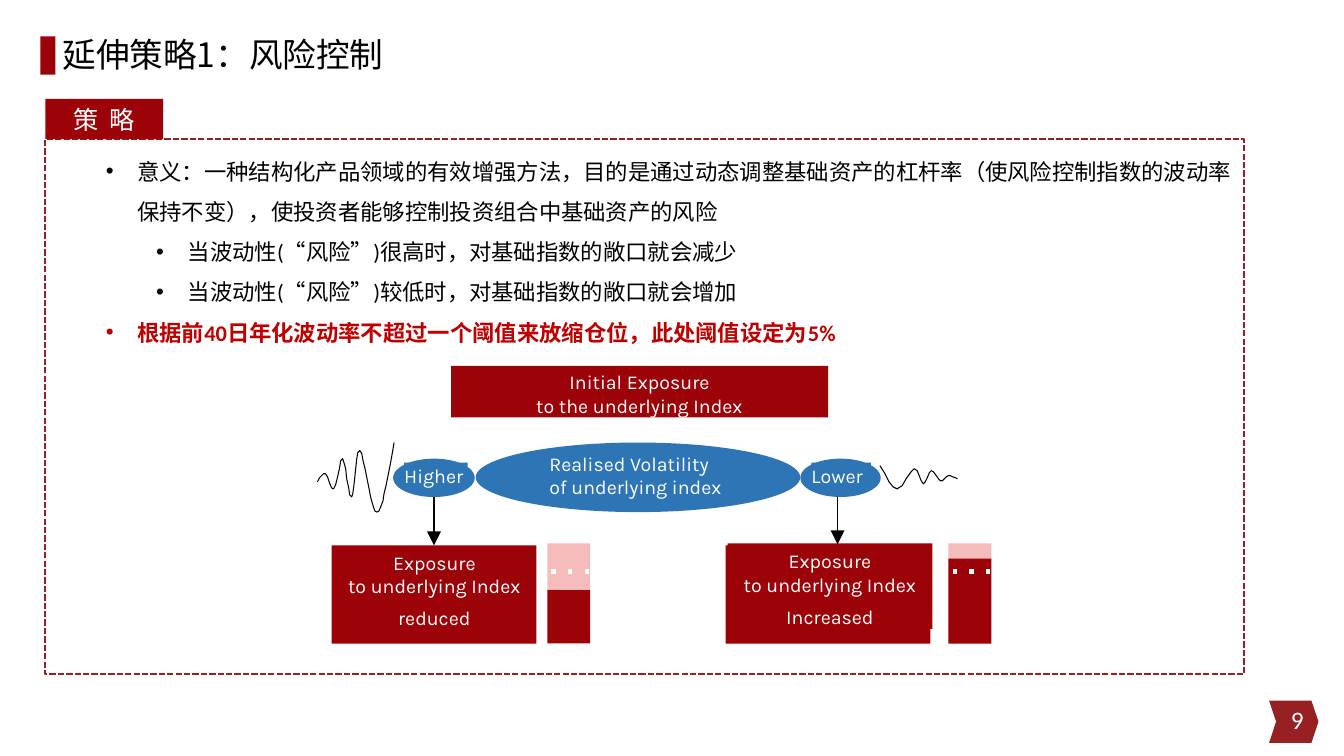
from dataclasses import dataclass
from typing import NamedTuple

from lxml.etree import SubElement
from pptx import Presentation
from pptx.dml.color import RGBColor
from pptx.enum.dml import MSO_LINE
from pptx.enum.shapes import MSO_CONNECTOR, MSO_SHAPE
from pptx.enum.text import MSO_ANCHOR, MSO_AUTO_SIZE, PP_ALIGN
from pptx.oxml.ns import qn
from pptx.util import Pt


@dataclass(frozen=True)
class Theme:
    red: str = "9C0308"
    edge: str = "972022"
    alert: str = "C00000"
    blue: str = "2E75B6"
    pink: str = "F6BCBC"
    black: str = "000000"
    white: str = "FFFFFF"
    head: int = 24
    large: int = 18
    text: int = 16
    small: int = 14
    main: str = "Calibri"
    chart: str = "Karla"
    title: str = "Noto Sans CJK SC"


class Box(NamedTuple):
    left: float
    top: float
    width: float
    height: float


class Point(NamedTuple):
    text: str
    level: int
    color: str
    bold: bool = False


class Label(NamedTuple):
    box: Box
    lines: list[str]
    fill: str
    inset: float
    align: PP_ALIGN
    last: float = 0  # space before the last line


class Gauge(NamedTuple):
    left: float
    split: float


T = Theme()
deck = Presentation()
deck.slide_width, deck.slide_height = Pt(960), Pt(540)
slide = deck.slides.add_slide(deck.slide_layouts[1])
shapes = slide.shapes


def rgb(code: str) -> RGBColor:
    return RGBColor.from_string(code)


def place(item, box: Box) -> None:
    item.left, item.top, item.width, item.height = map(Pt, box)


def style(para, size: int, face: str, color: str, bold: bool = False) -> None:
    font = para.font
    font.size, font.name, font.bold = Pt(size), face, bold
    font.color.rgb = rgb(color)


def draw(kind: MSO_SHAPE, box: Box, fill: str):
    item = shapes.add_shape(kind, *map(Pt, box))
    item.shadow.inherit = False
    item.fill.solid()
    item.fill.fore_color.rgb = rgb(fill)
    item.line.fill.background()
    return item


def join(x1: float, y1: float, x2: float, y2: float, color: str, width: float):
    line = shapes.add_connector(MSO_CONNECTOR.STRAIGHT, Pt(x1), Pt(y1), Pt(x2), Pt(y2))
    line.line.color.rgb = rgb(color)
    line.line.width = Pt(width)
    return line


def finish(line, tag: str, **marks: str) -> None:
    """Add a dash or arrowhead, and drop the shadow."""
    SubElement(line.line._get_or_add_ln(), qn(tag), **marks)
    SubElement(line._element.spPr, qn("a:effectLst"))


def write(label: Label) -> None:
    frame = draw(MSO_SHAPE.RECTANGLE, label.box, label.fill).text_frame
    frame.margin_left = frame.margin_right = frame.margin_bottom = 0
    frame.margin_top = Pt(label.inset)
    frame.vertical_anchor = MSO_ANCHOR.TOP
    frame.word_wrap = True
    frame.text = "\n".join(label.lines)
    for para in frame.paragraphs:
        para.alignment = label.align
        style(para, T.small, T.chart, T.white)
    if label.last:
        frame.paragraphs[-1].space_before = Pt(label.last)


def list_point(para, point: Point) -> None:
    para.text = point.text
    para.level = point.level
    para.line_spacing = 1.5
    para.space_before = Pt(0)
    props = para._p.get_or_add_pPr()
    props.set("marL", str(Pt(58.5 + 36 * point.level)))
    props.set("indent", str(-Pt(22.5)))
    SubElement(SubElement(props, qn("a:buClr")), qn("a:srgbClr"), val=point.color)
    SubElement(props, qn("a:buFont"), typeface="Arial")
    SubElement(props, qn("a:buChar"), char="•")
    style(para, T.text, T.main, point.color, point.bold)


def wave(dots: list[tuple[int, int]]) -> None:
    """Draw an open curve; units are hundredths of an inch."""
    pen = shapes.build_freeform(*dots[0], scale=float(Pt(0.72)))
    pen.add_line_segments(dots[1:], close=False)
    item = pen.convert_to_shape()
    item.shadow.inherit = False
    item.fill.background()
    item.line.color.rgb = rgb(T.black)
    item.line.width = Pt(0.75)


def gauge(bar: Gauge) -> None:
    top, base, width = 388.1, 459.7, 30.6
    draw(MSO_SHAPE.RECTANGLE, Box(bar.left, bar.split, width, base - bar.split), T.red)
    draw(MSO_SHAPE.RECTANGLE, Box(bar.left, top, width, bar.split - top), T.pink)
    mark = join(bar.left + 2.9, 408.2, bar.left + 33.5, 408.2, T.white, 3)
    finish(mark, "a:prstDash", val="dot")


# Title and page number
draw(MSO_SHAPE.CHEVRON, Box(906.5, 500.4, 35.3, 30.2), T.edge).adjustments[0] = 0.167
draw(MSO_SHAPE.RECTANGLE, Box(28.8, 25.9, 10.8, 27.4), T.red)

title = shapes.title
place(title, Box(37.4, -1.4, 814.3, 84.2))
title.text = "延伸策略1：风险控制"
title.text_frame.vertical_anchor = MSO_ANCHOR.MIDDLE
title.text_frame.auto_size = MSO_AUTO_SIZE.NONE
head = title.text_frame.paragraphs[0]
head.alignment, head.line_spacing = PP_ALIGN.LEFT, 0.9
style(head, T.head, T.title, T.black)

page = shapes.add_textbox(*map(Pt, Box(722.2, 499.7, 216, 28.8))).text_frame
page.word_wrap = True
page.vertical_anchor = MSO_ANCHOR.MIDDLE
page.text = "9"
page.paragraphs[0].alignment = PP_ALIGN.RIGHT
style(page.paragraphs[0], T.large, T.main, T.white)

# Framed list
POINTS = [
    Point("意义：一种结构化产品领域的有效增强方法，目的是通过动态调整基础资产的杠杆率"
          "（使风险控制指数的波动率保持不变），使投资者能够控制投资组合中基础资产的风险", 0, T.black),
    Point("当波动性(“风险”)很高时，对基础指数的敞口就会减少", 1, T.black),
    Point("当波动性(“风险”)较低时，对基础指数的敞口就会增加", 1, T.black),
    Point("根据前40日年化波动率不超过一个阈值来放缩仓位，此处阈值设定为5%", 0, T.alert, True),
]
body = slide.placeholders[1]
place(body, Box(32.4, 99.4, 856.1, 382.3))
body.line.color.rgb = rgb(T.edge)
body.line.width = Pt(1.5)
body.line.dash_style = MSO_LINE.SQUARE_DOT
frame = body.text_frame
frame.auto_size = MSO_AUTO_SIZE.NONE
frame.vertical_anchor = MSO_ANCHOR.TOP
for num, point in enumerate(POINTS):
    list_point(frame.add_paragraph() if num else frame.paragraphs[0], point)

tag = draw(MSO_SHAPE.RECTANGLE, Box(32.4, 70.6, 84.2, 28.8), T.red).text_frame
tag.text = "策 略"
tag.paragraphs[0].alignment = PP_ALIGN.CENTER
style(tag.paragraphs[0], T.large, T.main, T.white)
tag.paragraphs[0].runs[0]._r.get_or_add_rPr().set("spc", "200")

# Flow: blocks and ovals, then their labels
less, more = [draw(MSO_SHAPE.RECTANGLE, Box(x, 389.5, 146.2, 70.2), T.red) for x in (236.9, 518.4)]
for oval in (Box(339.8, 316.1, 231.8, 49.7), Box(280.8, 327.6, 58.3, 27.4), Box(571.7, 327.6, 57.4, 27.4)):
    draw(MSO_SHAPE.OVAL, oval, T.blue)

MID, LEFT = PP_ALIGN.CENTER, PP_ALIGN.LEFT
SHARE = ["Exposure", "to underlying Index"]
LABELS = [
    Label(Box(246.2, 392.4, 128.2, 57.6), SHARE + ["reduced"], T.red, 0.9, MID, 6),
    Label(Box(322.2, 261.4, 269.3, 36.7), ["Initial Exposure", "to the underlying Index"], T.red, 2.9, MID),
    Label(Box(519.8, 388.1, 146.2, 61.2), SHARE + ["Increased"], T.red, 4.3, MID, 6),
    Label(Box(392.4, 321.8, 128.2, 34.6), ["Realised Volatility of underlying index"], T.blue, 0.9, LEFT),
    Label(Box(288.7, 330.5, 45.4, 18), ["Higher"], T.blue, 0.9, LEFT),
    Label(Box(579.6, 330.5, 42.5, 18), ["Lower"], T.blue, 0.9, LEFT),
]
for label in LABELS:
    write(label)

# Calm and wild waves
wave([(873, 462), (878, 470), (882, 478), (886, 483), (890, 485), (895, 482), (899, 475), (904, 468),
      (907, 465), (910, 467), (912, 472), (914, 477), (916, 480), (918, 478), (920, 474), (922, 469),
      (924, 467), (926, 468), (929, 472), (931, 475), (933, 477), (935, 477), (937, 475), (939, 473),
      (941, 472), (943, 472), (945, 473), (948, 474), (950, 475)])
wave([(391, 439), (389, 451), (387, 462), (385, 472), (383, 482), (381, 490), (380, 497), (376, 507),
      (374, 508), (372, 507), (370, 501), (368, 494), (366, 484), (364, 474), (362, 464), (360, 456),
      (359, 450), (357, 447), (355, 449), (354, 455), (353, 464), (352, 474), (351, 483), (350, 490),
      (349, 493), (347, 491), (346, 484), (344, 475), (343, 465), (341, 458), (340, 455), (338, 457),
      (337, 464), (335, 473), (333, 481), (331, 485), (329, 484), (327, 479), (325, 473), (323, 470),
      (321, 470), (319, 472), (317, 474), (315, 478)])

# Arrows and gauges
for x, block in ((310, less), (598.3, None)):
    arrow = join(x, 355, x, 388.8, T.black, 1.25)
    if block:
        arrow.end_connect(block, 0)
    finish(arrow, "a:tailEnd", type="triangle", w="lg", len="lg")
for bar in (Gauge(391, 421.2), Gauge(677.5, 398.9)):
    gauge(bar)

deck.save("out.pptx")
